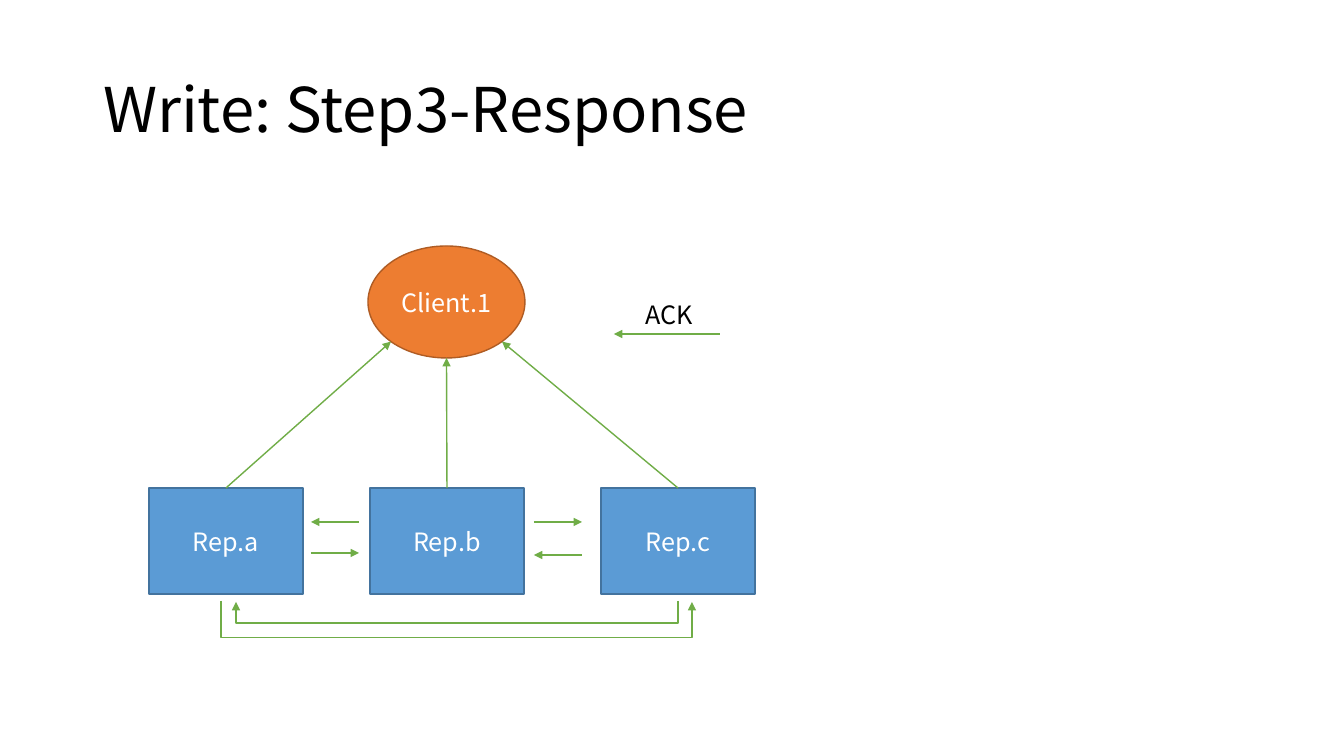
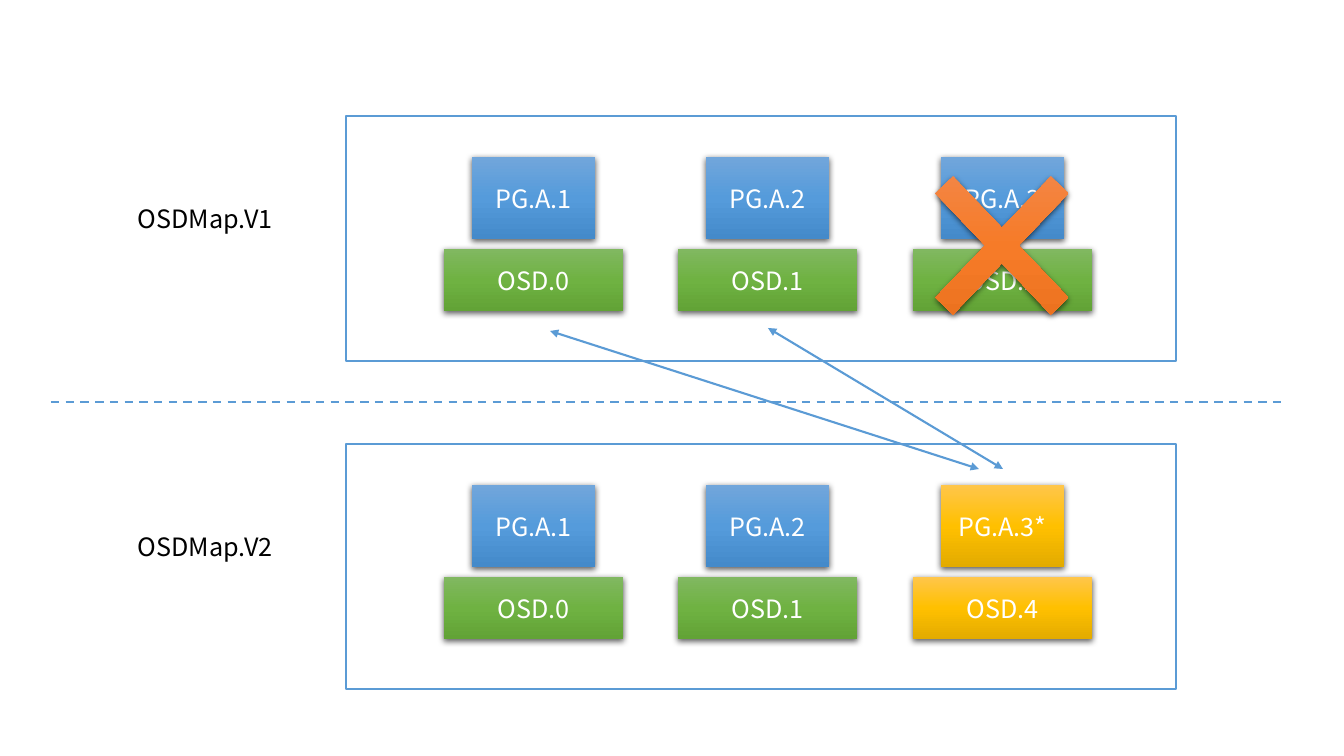
from copy import deepcopy
from math import sqrt

from lxml.etree import SubElement
from pptx import Presentation
from pptx.dml.color import RGBColor
from pptx.enum.dml import MSO_LINE
from pptx.enum.shapes import MSO_CONNECTOR, MSO_SHAPE
from pptx.enum.text import MSO_ANCHOR, MSO_AUTO_SIZE, PP_ALIGN
from pptx.oxml.ns import qn
from pptx.util import Pt

PX = 914400 / 100.8
FONT = "Noto Sans CJK SC"
WHITE, BLACK = "FFFFFF", "000000"
BLUE, BLUE_EDGE = "5B9BD5", "43739E"
ORANGE, ORANGE_EDGE = "ED7D31", "AF5C24"
GREEN = "70AD47"
BLUE_SHADES = ("71A6DB", "559BDB", "448ACA")
GREEN_SHADES = ("81B861", "6FB242", "62A336")
GOLD_SHADES = ("FFC64B", "FFC000", "E3AB00")
ORANGE_SHADES = ("F18C57", "F67B28", "E56C19")


def emu(*pixels):
    """Turn pixel lengths into EMU."""
    return [round(pixel * PX) for pixel in pixels]


def color(hex_string):
    """Turn a hex string into a colour."""
    return RGBColor.from_string(hex_string)


def write(frame, text, ink=WHITE, size=18, align=PP_ALIGN.CENTER):
    """Put one formatted paragraph into a text frame."""
    frame.text = text
    paragraph = frame.paragraphs[0]
    paragraph.alignment = align
    for run in paragraph.runs:
        run.font.name = FONT
        run.font.size = Pt(size)
        run.font.color.rgb = color(ink)


def add_title(slide, text):
    """Place and format the title placeholder."""
    title = slide.shapes.title
    title.left, title.top, title.width, title.height = emu(93, 40, 1159, 146)
    frame = title.text_frame
    write(frame, text, BLACK, 44, PP_ALIGN.LEFT)
    frame.paragraphs[0].line_spacing = 0.9
    frame.vertical_anchor = MSO_ANCHOR.MIDDLE
    frame.auto_size = MSO_AUTO_SIZE.NONE


def add_label(slide, box, text, align):
    """Add a plain black label."""
    frame = slide.shapes.add_textbox(*emu(*box)).text_frame
    frame.word_wrap = True
    write(frame, text, BLACK, align=align)


def add_flat(slide, kind, box, fill, edge, text=""):
    """Add an outlined shape with a plain fill."""
    shape = slide.shapes.add_shape(kind, *emu(*box))
    shape.shadow.inherit = False
    shape.fill.solid()
    shape.fill.fore_color.rgb = color(fill)
    shape.line.color.rgb = color(edge)
    shape.line.width = Pt(1)
    if text:
        write(shape.text_frame, text)


def add_raised(slide, kind, box, shades, text=""):
    """Add a borderless shape with a three-shade gradient and a soft shadow."""
    shape = slide.shapes.add_shape(kind, *emu(*box))
    shape.line.fill.background()
    shape.fill.gradient()
    shape.fill.gradient_angle = 270
    properties = shape._element.spPr
    stops = properties.find(".//" + qn("a:gsLst"))
    stops.append(deepcopy(stops[0]))
    for stop, shade, position in zip(shape.fill.gradient_stops, shades, (0, 0.5, 1)):
        stop.color.rgb = color(shade)
        stop.position = position
    shape.shadow.inherit = False
    shadow = SubElement(properties.find(qn("a:effectLst")), qn("a:outerShdw"),
                        blurRad=str(Pt(4.5)), dist=str(Pt(1.5)), dir="5400000",
                        algn="ctr", rotWithShape="0")
    tone = SubElement(shadow, qn("a:srgbClr"), val=BLACK)
    SubElement(tone, qn("a:alpha"), val="63000")
    if text:
        write(shape.text_frame, text)
    return shape


def add_line(slide, start, end, ink=GREEN, width=1, tips=("tailEnd",),
             kind=MSO_CONNECTOR.STRAIGHT):
    """Add a connector with arrowheads at the given tips."""
    line = slide.shapes.add_connector(kind, *emu(*start, *end))
    line.line.color.rgb = color(ink)
    line.line.width = Pt(width)
    for tip in tips:
        SubElement(line.line._get_or_add_ln(), qn("a:" + tip), type="triangle")
    SubElement(line._element.spPr, qn("a:effectLst"))
    return line


def add_loop(slide, start_x, end_x, top, depth):
    """Add an elbow arrow that drops by depth, runs across and rises again."""
    rightward = end_x > start_x
    half = 0.5 if rightward else -0.5
    middle_x, middle_y = (start_x + end_x) / 2, top + 0.5
    reach = abs(end_x - start_x) / 2
    loop = add_line(slide, (middle_x + half, middle_y - reach),
                    (middle_x - half, middle_y + reach), kind=MSO_CONNECTOR.ELBOW)
    properties = loop._element.spPr
    properties.find(qn("a:xfrm")).set("rot", str((270 if rightward else 90) * 60000))
    guides = properties.find(".//" + qn("a:avLst"))
    SubElement(guides, qn("a:gd"), name="adj1", fmla=f"val {depth * 100000}")


def add_exchange(slide, left, upper, lower, upper_rightward):
    """Add two opposite arrows between neighbouring replicas."""
    for y, rightward in ((upper, upper_rightward), (lower, not upper_rightward)):
        ends = [(left, y), (left + 48, y)]
        add_line(slide, *(ends if rightward else reversed(ends)))


def add_replication(slide, box):
    """Draw the client, its three replicas and their acknowledgements."""
    left, top, width, height = box
    client_width, client_height = 157, 112
    replica_width, replica_height = 154, 106
    client_left = left + 219
    client_x, client_y = client_left + client_width / 2, top + client_height / 2
    replica_top = top + height - replica_height
    add_flat(slide, MSO_SHAPE.OVAL, (client_left, top, client_width, client_height),
             ORANGE, ORANGE_EDGE, "Client.1")

    replicas = (("Rep.a", left, -1), ("Rep.b", left + 221, 0),
                ("Rep.c", left + width - replica_width, 1))
    for name, replica_left, side in replicas:
        add_flat(slide, MSO_SHAPE.RECTANGLE,
                 (replica_left, replica_top, replica_width, replica_height),
                 BLUE, BLUE_EDGE, name)
        rise = sqrt(0.5) if side else 1
        rim = (client_x + side * rise * client_width / 2,
               client_y + rise * client_height / 2)
        add_line(slide, (replica_left + replica_width / 2, replica_top), rim)

    add_exchange(slide, left + 162, replica_top + 34, replica_top + 65, False)
    add_exchange(slide, left + 385, replica_top + 34, replica_top + 67, True)
    loop_top = top + height + 7
    add_loop(slide, left + 72, left + 543, loop_top, 37)
    add_loop(slide, left + 529, left + 87, loop_top, 22)


def add_legend(slide, box):
    """Explain the arrow as an acknowledgement."""
    left, top, width, height = box
    add_line(slide, (left + width, top + height), (left, top + height))
    add_label(slide, (left + 4, top, width - 4, height), "ACK", PP_ALIGN.CENTER)


def add_map(slide, box, version, groups):
    """Draw one map version: a frame with placement groups on their devices."""
    left, top, width, height = box
    add_flat(slide, MSO_SHAPE.RECTANGLE, box, WHITE, BLUE)
    for column, (group, device, group_shades, device_shades) in enumerate(groups):
        shift = left + 469 * column // 2
        add_raised(slide, MSO_SHAPE.RECTANGLE, (shift + 126, top + 41, 123, 82),
                   group_shades, group)
        add_raised(slide, MSO_SHAPE.RECTANGLE, (shift + 98, top + 133, 179, 62),
                   device_shades, device)
    add_label(slide, (left - 218, top + 82, 178, 40), version, PP_ALIGN.LEFT)


def build_response_slide(deck):
    """Build the slide on the response step of a write."""
    slide = deck.slides.add_slide(deck.slide_layouts[5])
    add_title(slide, "Write: Step3-Response")
    add_replication(slide, (149, 246, 606, 348))
    add_legend(slide, (614, 294, 106, 40))


def build_map_slide(deck):
    """Build the slide that compares two map versions."""
    slide = deck.slides.add_slide(deck.slide_layouts[6])
    kept = [(f"PG.A.{n + 1}", f"OSD.{n}", BLUE_SHADES, GREEN_SHADES) for n in range(3)]
    moved = ("PG.A.3*", "OSD.4", GOLD_SHADES, GOLD_SHADES)
    add_map(slide, (346, 116, 830, 245), "OSDMap.V1", kept)
    add_map(slide, (346, 444, 830, 245), "OSDMap.V2", kept[:2] + [moved])

    divider = add_line(slide, (51, 402), (1282, 402), BLUE, 1.5, tips=())
    divider.line.dash_style = MSO_LINE.DASH
    failure = add_raised(slide, MSO_SHAPE.MATH_MULTIPLY, (891, 129, 222, 233),
                         ORANGE_SHADES)
    failure.adjustments[0] = 0.11
    for survivor, replacement in (((550, 331), (979, 469)), ((768, 328), (1003, 469))):
        add_line(slide, survivor, replacement, BLUE, 1.5, ("headEnd", "tailEnd"))


def main():
    """Build and save the deck."""
    deck = Presentation()
    deck.slide_width, deck.slide_height = emu(1344, 756)
    build_response_slide(deck)
    build_map_slide(deck)
    deck.save("out.pptx")


main()
